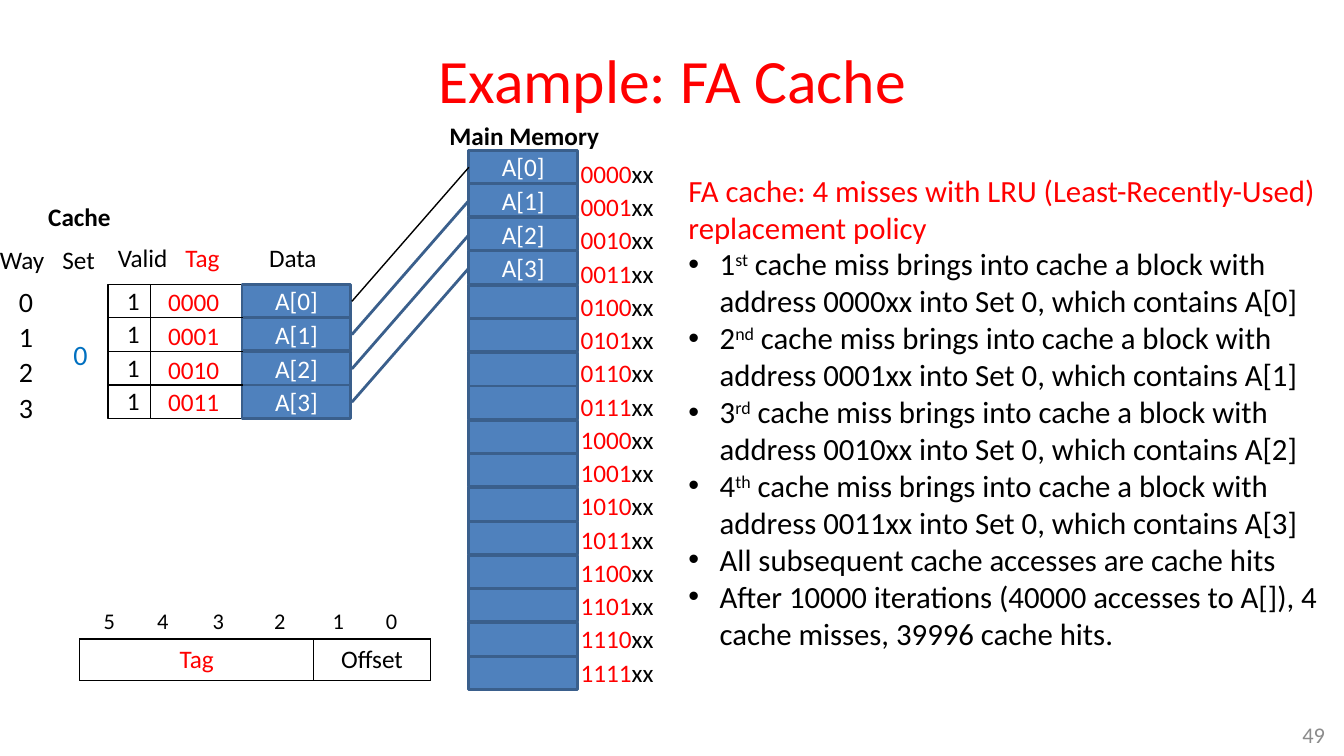
"""Build the fully associative cache example slide."""
from lxml.etree import SubElement
from pptx import Presentation
from pptx.dml.color import RGBColor
from pptx.enum.shapes import MSO_CONNECTOR, MSO_SHAPE
from pptx.enum.text import MSO_ANCHOR, MSO_AUTO_SIZE, PP_ALIGN
from pptx.oxml.ns import qn
from pptx.util import Pt

PX = 9144
RED = RGBColor(0xFF, 0x00, 0x00)
BLACK = RGBColor(0x00, 0x00, 0x00)
WHITE = RGBColor(0xFF, 0xFF, 0xFF)
BLUE = RGBColor(0x4F, 0x81, 0xBD)
NAVY = RGBColor(0x3A, 0x5F, 0x8C)
AZURE = RGBColor(0x00, 0x70, 0xC0)
GREY = RGBColor(0x8C, 0x8C, 0x8C)
MID = {"alignment": PP_ALIGN.CENTER}

deck = Presentation()
deck.slide_width, deck.slide_height = 1333 * PX, 750 * PX
slide = deck.slides.add_slide(deck.slide_layouts[6])
shapes = slide.shapes


def write(frame, lines, size, form=None, bold=False):
    for num, runs in enumerate(lines):
        para = frame.add_paragraph() if num else frame.paragraphs[0]
        for key, val in (form or {}).items():
            setattr(para, key, val)
        for words, tint in runs:
            run = para.add_run()
            run.text = words
            look = {"name": "Calibri", "size": Pt(size), "bold": bold}
            for key, val in look.items():
                setattr(run.font, key, val)
            run.font.color.rgb = tint


def label(box, lines, size, form=None, bold=False, wrap=False, grow=True,
          anchor=MSO_ANCHOR.TOP):
    frame = shapes.add_textbox(*[n * PX for n in box]).text_frame
    fit = MSO_AUTO_SIZE.SHAPE_TO_FIT_TEXT if grow else MSO_AUTO_SIZE.NONE
    look = {"word_wrap": wrap, "auto_size": fit, "vertical_anchor": anchor}
    for key, val in look.items():
        setattr(frame, key, val)
    write(frame, lines, size, form, bold)
    return frame


label((67, 16, 1200, 125), [[("Example: FA Cache", RED)]], 44, MID,
      wrap=True, grow=False, anchor=MSO_ANCHOR.MIDDLE)

steps = [row * 67 // 2 for row in range(16)]
rects = [(107, 282, 42, 133, None, BLACK, 1, ""),
         (149, 282, 92, 133, None, BLACK, 1, "")]
links = []
for row, step in enumerate(steps):
    name = f"A[{row}]" if row < 4 else ""
    rects.append((465, 149 + step, 108, 33, BLUE, NAVY, 2, name))
    if row < 4:
        rects.append((240, 282 + step, 108, 33, BLUE, NAVY, 2, name))
        tint, width = (NAVY, 2) if row else (BLACK, 1)
        links.append((465, 166 + step, 349, 299 + step, tint, width))
    if 0 < row < 4:
        links.append((107, 282 + step, 241, 282 + step, BLACK, 1))

for x, y, w, h, fill, edge, width, name in rects:
    block = shapes.add_shape(MSO_SHAPE.RECTANGLE, x * PX, y * PX, w * PX, h * PX)
    block.shadow.inherit = False
    if fill:
        block.fill.solid()
        block.fill.fore_color.rgb = fill
    else:
        block.fill.background()
    block.line.color.rgb = edge
    block.line.width = Pt(width)
    if name:
        block.text_frame.word_wrap = False
        block.text_frame.vertical_anchor = MSO_ANCHOR.MIDDLE
        write(block.text_frame, [[(name, WHITE)]], 18, MID)

for *ends, tint, width in links:
    link = shapes.add_connector(MSO_CONNECTOR.STRAIGHT, *[n * PX for n in ends])
    link.line.color.rgb = tint
    link.line.width = Pt(width)
    SubElement(link._element.spPr, qn("a:effectLst"))

label((38, 195, 83, 40), [[("Cache", BLACK)]], 18, bold=True)
label((436, 114, 170, 40), [[("Main Memory", BLACK)]], 18, bold=True)
for x, y, w, name, tint in [(-10, 237, 65, "Way", BLACK),
                            (52, 237, 53, "Set", BLACK),
                            (107, 236, 70, "Valid", BLACK),
                            (174, 236, 54, "Tag", RED),
                            (257, 235, 68, "Data", BLACK)]:
    label((x, y, w, 40), [[(name, tint)]], 18)

label((63, 330, 34, 44), [[("0", AZURE)]], 20)
for way, (one, tag) in enumerate([(278, 279), (311, 313), (345, 347), (377, 378)]):
    label((9, 277 + way * 106 // 3, 34, 44), [[(str(way), BLACK)]], 20)
    label((116, one, 33, 40), [[("1", BLACK)]], 18)
    label((157, tag, 71, 40), [[(f"{way:04b}", RED)]], 18)

label((566, 149, 108, 543),
      [[(f"{row:04b}", RED), ("xx", BLACK)] for row in range(16)],
      18, {"line_spacing": 1.1}, wrap=True)

for bit, x in zip("543210", (93, 146, 201, 262, 320, 373)):
    label((x, 597, 28, 37), [[(bit, BLACK)]], 16)

table = shapes.add_table(1, 2, 79 * PX, 634 * PX, 348 * PX, 41 * PX).table
table.first_row = table.horz_banding = False
for col, (name, tint, width) in enumerate([("Tag", RED, 232),
                                           ("Offset", BLACK, 116)]):
    table.columns[col].width = width * PX
    cell = table.cell(0, col)
    write(cell.text_frame, [[(name, tint)]], 18, MID)
    props = cell._tc.get_or_add_tcPr()
    for side in ("lnL", "lnR", "lnT", "lnB"):
        line = SubElement(props, qn(f"a:{side}"), w=str(Pt(1)))
        fill = SubElement(line, qn("a:solidFill"))
        SubElement(fill, qn("a:srgbClr"), val=str(BLACK))
    cell.fill.background()

lines = [[("FA cache: 4 misses with LRU (Least-Recently-Used) "
           "replacement policy", RED)]]
for num, mark in enumerate(("st", "nd", "rd", "th")):
    lines.append([(str(num + 1), BLACK), (mark, BLACK),
                  (" cache miss brings into cache a block with address "
                   f"{num:04b}xx into Set 0, which contains A[{num}]", BLACK)])
lines += [[("All subsequent cache accesses are cache hits", BLACK)],
          [("After 10000 iterations (40000 accesses to A[]), 4 cache misses, "
            "39996 cache hits.", BLACK)]]
notes = label((673, 165, 652, 528), lines, 22, wrap=True)
for para in notes.paragraphs[1:]:
    props = para._p.get_or_add_pPr()
    for key, val in {"marL": 31 * PX, "indent": -31 * PX}.items():
        props.set(key, str(val))
    SubElement(props, qn("a:buFont"), typeface="Arial")
    SubElement(props, qn("a:buChar"), char="•")
    if len(para.runs) == 3:
        para.runs[1].font._element.set("baseline", "30000")

label((1257, 708, 67, 42), [[("49", GREY)]], 16, {"alignment": PP_ALIGN.RIGHT},
      wrap=True, grow=False, anchor=MSO_ANCHOR.MIDDLE)

deck.save("out.pptx")
